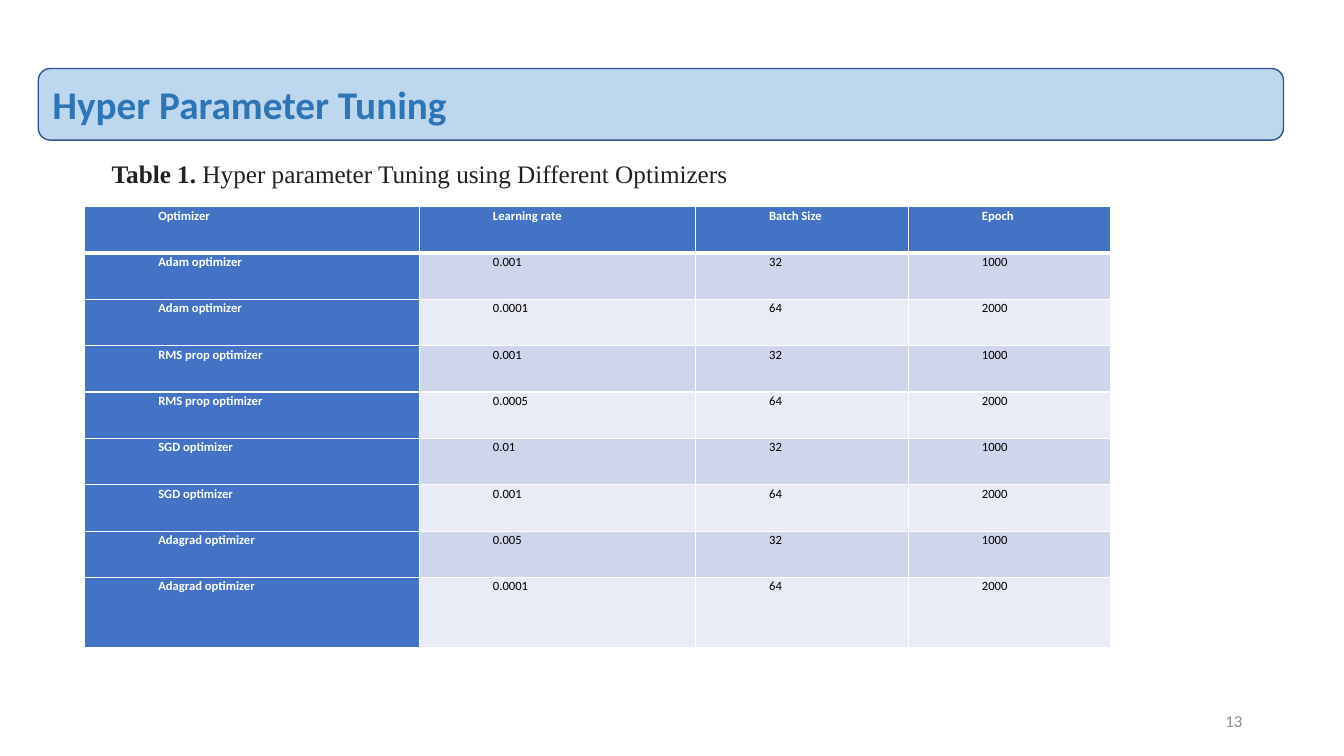
from pptx import Presentation
from pptx.dml.color import RGBColor
from pptx.enum.shapes import MSO_SHAPE
from pptx.enum.text import MSO_ANCHOR, MSO_AUTO_SIZE, PP_ALIGN
from pptx.oxml.ns import qn
from pptx.util import Inches, Pt
from lxml.etree import SubElement

HUES = {
    "banner": "BDD7EE", "edge": "325491", "title": "2E75B6",
    "text": "212121", "page": "8C8C8C", "head": "4472C4",
    "odd": "CFD5EA", "even": "E9EBF5", "white": "FFFFFF", "black": "000000",
}
HEADS = ["Optimizer", "Learning rate", "Batch Size", "Epoch"]
RATES = [
    ("Adam", "0.001", "0.0001"),
    ("RMS prop", "0.001", "0.0005"),
    ("SGD", "0.01", "0.001"),
    ("Adagrad", "0.005", "0.0001"),
]
RUNS = [("32", "1000"), ("64", "2000")]
WIDTHS = [3.32, 2.74, 2.11, 2.01]


def hue(name):
    return RGBColor.from_string(HUES[name])


def apply(item, values):
    for key, value in values.items():
        setattr(item, key, value)


def style(font, size, color, bold=False, name="Calibri"):
    apply(font, {"size": Pt(size), "bold": bold, "name": name})
    font.color.rgb = hue(color)


def place(shape, box):
    sides = ("left", "top", "width", "height")
    apply(shape, dict(zip(sides, map(Inches, box))))


def add_title(slide, box):
    # Rounded banner
    banner = slide.shapes.add_shape(
        MSO_SHAPE.ROUNDED_RECTANGLE, *map(Inches, box))
    banner.shadow.inherit = False
    banner.fill.solid()
    banner.fill.fore_color.rgb = hue("banner")
    banner.line.color.rgb = hue("edge")
    banner.line.width = Pt(1)
    # Title in front of the banner
    title = slide.shapes.title
    place(title, box)
    banner.element.addnext(title.element)
    frame = title.text_frame
    frame.text = "Hyper Parameter Tuning"
    apply(frame, {"vertical_anchor": MSO_ANCHOR.MIDDLE, "word_wrap": True,
                  "auto_size": MSO_AUTO_SIZE.NONE,
                  "margin_left": Inches(0.14)})
    line = frame.paragraphs[0]
    line.alignment = PP_ALIGN.LEFT
    style(line.runs[0].font, 28, "title", True)


def add_text(slide, box, parts, size, color, name, align):
    frame = slide.shapes.add_textbox(*map(Inches, box)).text_frame
    apply(frame, {"word_wrap": True, "vertical_anchor": MSO_ANCHOR.MIDDLE})
    line = frame.paragraphs[0]
    line.alignment = align
    for words, bold in parts:
        run = line.add_run()
        run.text = words
        style(run.font, size, color, bold, name)


def add_edges(cell, widths):
    props = cell._tc.get_or_add_tcPr()
    for spot, (side, width) in enumerate(widths.items()):
        edge = props.makeelement(qn(f"a:{side}"), {"w": str(Pt(width))})
        fill = SubElement(edge, qn("a:solidFill"))
        SubElement(fill, qn("a:srgbClr"), val=HUES["white"])
        props.insert(spot, edge)


def fill_cell(cell, words, row, col):
    head = row == 0 or col == 0
    cell.text = words
    apply(cell, {"margin_left": Inches(0.07), "margin_right": Inches(0.07),
                 "margin_top": 0, "margin_bottom": 0})
    cell.fill.solid()
    shade = "head" if head else "odd" if row % 2 else "even"
    cell.fill.fore_color.rgb = hue(shade)
    line = cell.text_frame.paragraphs[0]
    apply(line, {"alignment": PP_ALIGN.JUSTIFY, "line_spacing": Pt(12)})
    props = line._p.get_or_add_pPr()
    props.set("marL", str(Inches(0.5)))
    props.set("indent", str(Inches(0.16)))
    style(line.runs[0].font, 9, "white" if head else "black", head)
    # The rule under the header is thicker
    add_edges(cell, {"lnL": 1, "lnR": 1, "lnT": 3 if row == 1 else 1,
                     "lnB": 3 if row == 0 else 1})


def add_grid(slide, box):
    rows = [HEADS] + [
        [f"{name} optimizer", rate, *run]
        for name, *rates in RATES for rate, run in zip(rates, RUNS)]
    grid = slide.shapes.add_table(
        len(rows), len(HEADS), *map(Inches, box)).table
    for col, width in zip(grid.columns, WIDTHS):
        col.width = Inches(width)
    # Equal rows, the last one takes the rest
    high = 0.46
    for row in grid.rows:
        row.height = Inches(high)
    grid.rows[len(rows) - 1].height = Inches(box[3] - high * (len(rows) - 1))
    for r, row in enumerate(rows):
        for c, words in enumerate(row):
            fill_cell(grid.cell(r, c), words, r, c)


def main():
    deck = Presentation()
    apply(deck, {"slide_width": Inches(13.33), "slide_height": Inches(7.5)})
    slide = deck.slides.add_slide(deck.slide_layouts[5])
    add_grid(slide, (0.84, 2.05, 10.18, 4.38))
    add_text(slide, (9.42, 6.95, 3, 0.4), [("13", False)],
             12, "page", "Calibri", PP_ALIGN.RIGHT)
    add_text(slide, (1.01, 1.52, 6.6, 0.4),
             [("Table 1.", True),
              (" Hyper parameter Tuning using Different Optimizers", False)],
             18, "text", "Times New Roman", PP_ALIGN.LEFT)
    add_title(slide, (0.38, 0.68, 12.35, 0.71))
    deck.save("out.pptx")


if __name__ == "__main__":
    main()
